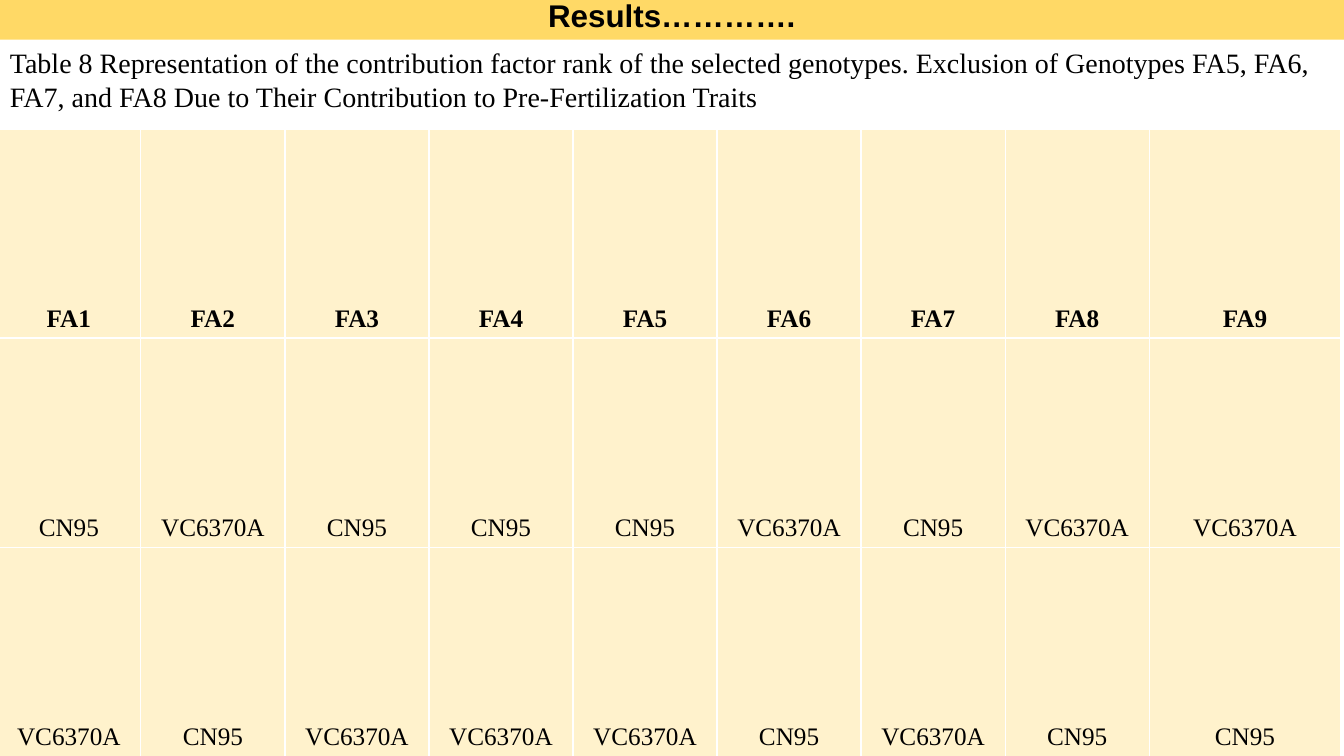
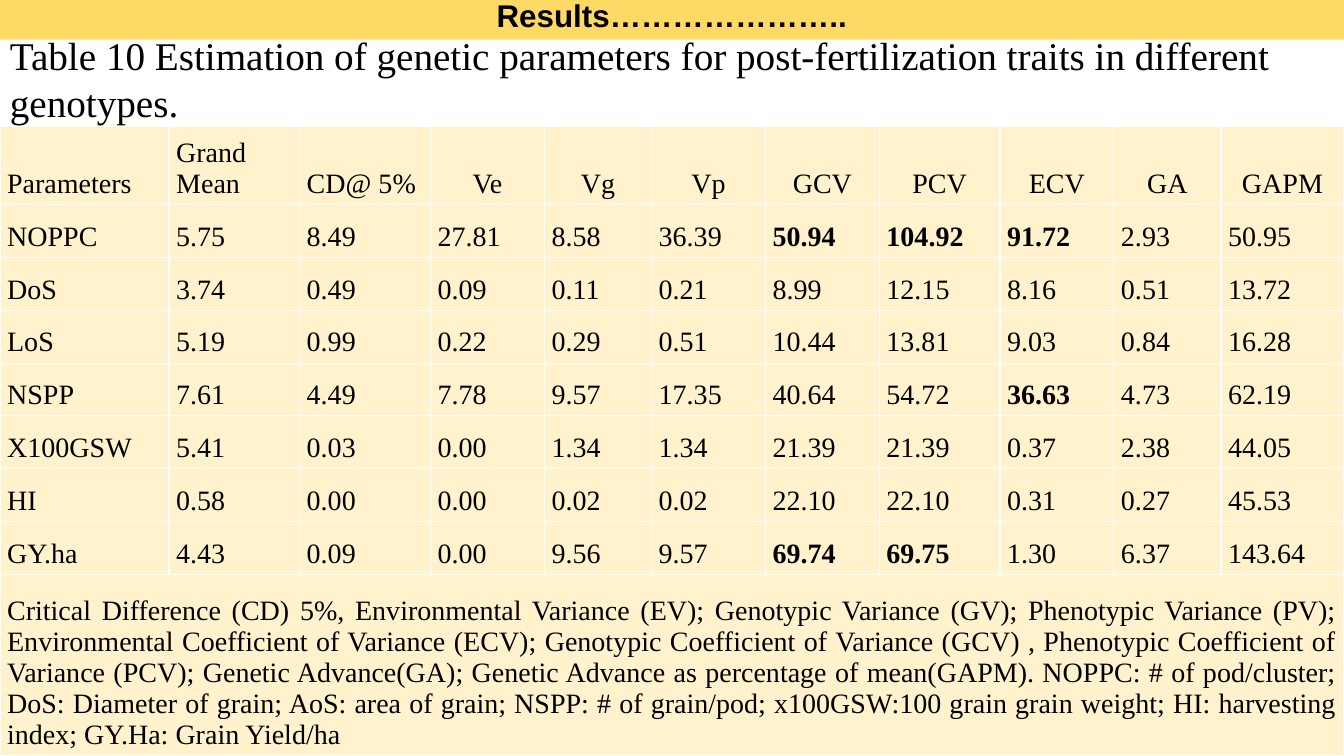
from dataclasses import dataclass

from lxml.etree import SubElement
from pptx import Presentation
from pptx.dml.color import RGBColor
from pptx.enum.shapes import MSO_SHAPE
from pptx.enum.text import MSO_ANCHOR, PP_ALIGN
from pptx.oxml.ns import qn
from pptx.slide import Slide
from pptx.table import _Cell
from pptx.text.text import _Paragraph
from pptx.util import Cm, Pt

COLORS = {"band": "FFD966", "cell": "FFF2CC", "border": "FFFFFF", "text": "000000"}
TITLE_FONT = "Arial"
BODY_FONT = "Times New Roman"
PAGE_WIDTH, PAGE_HEIGHT = 33.87, 19.05
BAND_HEIGHT = 1.0


@dataclass(frozen=True)
class Caption:
    text: str
    top: float
    height: float
    size: float


@dataclass(frozen=True)
class Grid:
    """Table content and layout; lengths in cm, cells named by (row, column)."""
    rows: list[list[str]]
    left: float
    top: float
    widths: list[float]
    heights: list[float]
    size: float
    bold: set[tuple[int, int]]
    centered: set[tuple[int, int]]
    line_spacing: float = 1.0
    footnote: str = ""


@dataclass(frozen=True)
class Page:
    title: str
    caption: Caption
    grid: Grid


RANK_ROWS = [
    [f"FA{number}" for number in range(1, 10)],
    "CN95 VC6370A CN95 CN95 CN95 VC6370A CN95 VC6370A VC6370A".split(),
    "VC6370A CN95 VC6370A VC6370A VC6370A CN95 VC6370A CN95 CN95".split(),
]

PARAMETER_ROWS = [
    ["Parameters", "Grand Mean", "CD@ 5%", "Ve", "Vg", "Vp", "GCV", "PCV", "ECV", "GA", "GAPM"],
    "NOPPC 5.75 8.49 27.81 8.58 36.39 50.94 104.92 91.72 2.93 50.95".split(),
    "DoS 3.74 0.49 0.09 0.11 0.21 8.99 12.15 8.16 0.51 13.72".split(),
    "LoS 5.19 0.99 0.22 0.29 0.51 10.44 13.81 9.03 0.84 16.28".split(),
    "NSPP 7.61 4.49 7.78 9.57 17.35 40.64 54.72 36.63 4.73 62.19".split(),
    "X100GSW 5.41 0.03 0.00 1.34 1.34 21.39 21.39 0.37 2.38 44.05".split(),
    "HI 0.58 0.00 0.00 0.02 0.02 22.10 22.10 0.31 0.27 45.53".split(),
    "GY.ha 4.43 0.09 0.00 9.56 9.57 69.74 69.75 1.30 6.37 143.64".split(),
]

ABBREVIATIONS = (
    "Critical Difference (CD) 5%, Environmental Variance (EV); Genotypic Variance (GV); "
    "Phenotypic Variance (PV); Environmental Coefficient of Variance (ECV); "
    "Genotypic Coefficient of Variance (GCV) , Phenotypic Coefficient of Variance (PCV); "
    "Genetic Advance(GA); Genetic Advance as percentage of mean(GAPM). "
    "NOPPC: # of pod/cluster; DoS: Diameter of grain; AoS: area of grain; "
    "NSPP: # of grain/pod; x100GSW:100 grain grain weight; HI: harvesting index; "
    "GY.Ha: Grain Yield/ha"
)

PAGES = [
    Page(
        "Results………….",
        Caption(
            "Table 8 Representation of the contribution factor rank of the selected genotypes. "
            "Exclusion of Genotypes FA5, FA6, FA7, and FA8 Due to Their Contribution to "
            "Pre-Fertilization Traits",
            top=1.02, height=1.96, size=20,
        ),
        Grid(
            RANK_ROWS, left=-0.08, top=3.25,
            widths=[3.63] * 8 + [4.83], heights=[5.27] * 3, size=18,
            bold={(0, column) for column in range(9)},
            centered={(row, column) for row in range(3) for column in range(9)},
            line_spacing=1.07,
        ),
    ),
    Page(
        "Results…………………..",
        Caption(
            "Table 10 Estimation of genetic parameters for post-fertilization traits "
            "in different genotypes.",
            top=0.66, height=2.64, size=28,
        ),
        Grid(
            PARAMETER_ROWS, left=0, top=3.18,
            widths=[4.26, 3.29, 3.3, 2.87, 2.7, 2.87, 2.87, 3.04, 2.87, 2.7, 3.1],
            heights=[1.98] + [1.33] * 7 + [4.57], size=20,
            bold={(1, 6), (1, 7), (1, 8), (4, 8), (7, 6), (7, 7)},
            centered={(0, column) for column in range(3, 11)},
            footnote=ABBREVIATIONS,
        ),
    ),
]


def write(para: _Paragraph, text: str, font: str, size: float, bold: bool = False,
          align: PP_ALIGN = PP_ALIGN.LEFT, line_spacing: float = 1.0) -> None:
    para.text = text
    para.alignment = align
    para.line_spacing = line_spacing
    for span in para.runs:
        span.font.name = font
        span.font.size = Pt(size)
        span.font.bold = bold
        span.font.color.rgb = RGBColor.from_string(COLORS["text"])


def add_title_band(slide: Slide, title: str) -> None:
    band = slide.shapes.add_shape(MSO_SHAPE.RECTANGLE, 0, 0, Cm(PAGE_WIDTH), Cm(BAND_HEIGHT))
    band.shadow.inherit = False
    band.fill.solid()
    band.fill.fore_color.rgb = RGBColor.from_string(COLORS["band"])
    band.line.fill.background()
    band.text_frame.vertical_anchor = MSO_ANCHOR.MIDDLE
    write(band.text_frame.paragraphs[0], title, TITLE_FONT, 22.4, bold=True,
          align=PP_ALIGN.CENTER, line_spacing=0.7)


def add_caption(slide: Slide, caption: Caption) -> None:
    box = slide.shapes.add_textbox(0, Cm(caption.top), Cm(PAGE_WIDTH), Cm(caption.height))
    box.text_frame.word_wrap = True
    para = box.text_frame.paragraphs[0]
    write(para, caption.text, BODY_FONT, caption.size)
    para.space_after = Pt(10)


def style_cell(cell: _Cell) -> None:
    cell.vertical_anchor = MSO_ANCHOR.BOTTOM
    cell.margin_left = cell.margin_right = Cm(0.18)
    cell.margin_top = cell.margin_bottom = Cm(0.13)
    properties = cell._tc.get_or_add_tcPr()
    for side in ("a:lnL", "a:lnR", "a:lnT", "a:lnB"):
        border = SubElement(properties, qn(side), w=str(Pt(1)))
        paint = SubElement(border, qn("a:solidFill"))
        SubElement(paint, qn("a:srgbClr"), val=COLORS["border"])
    cell.fill.solid()
    cell.fill.fore_color.rgb = RGBColor.from_string(COLORS["cell"])


def add_grid(slide: Slide, grid: Grid) -> None:
    table = slide.shapes.add_table(
        len(grid.heights), len(grid.widths), Cm(grid.left), Cm(grid.top),
        Cm(sum(grid.widths)), Cm(sum(grid.heights)),
    ).table
    table.first_row = table.horz_banding = False
    for column, width in zip(table.columns, grid.widths):
        column.width = Cm(width)
    for row, height in zip(table.rows, grid.heights):
        row.height = Cm(height)
    for cell in table.iter_cells():
        style_cell(cell)

    for row_index, values in enumerate(grid.rows):
        for column_index, value in enumerate(values):
            place = (row_index, column_index)
            align = PP_ALIGN.CENTER if place in grid.centered else PP_ALIGN.LEFT
            write(table.cell(*place).text_frame.paragraphs[0], value, BODY_FONT, grid.size,
                  place in grid.bold, align, grid.line_spacing)

    if grid.footnote:
        last_row = len(grid.heights) - 1
        note = table.cell(last_row, 0)
        note.merge(table.cell(last_row, len(grid.widths) - 1))
        write(note.text_frame.paragraphs[0], grid.footnote, BODY_FONT, grid.size,
              align=PP_ALIGN.JUSTIFY)


def main() -> None:
    deck = Presentation()
    deck.slide_width, deck.slide_height = Cm(PAGE_WIDTH), Cm(PAGE_HEIGHT)
    blank = deck.slide_layouts[6]
    for page in PAGES:
        slide = deck.slides.add_slide(blank)
        add_title_band(slide, page.title)
        add_caption(slide, page.caption)
        add_grid(slide, page.grid)
    deck.save("out.pptx")


if __name__ == "__main__":
    main()
